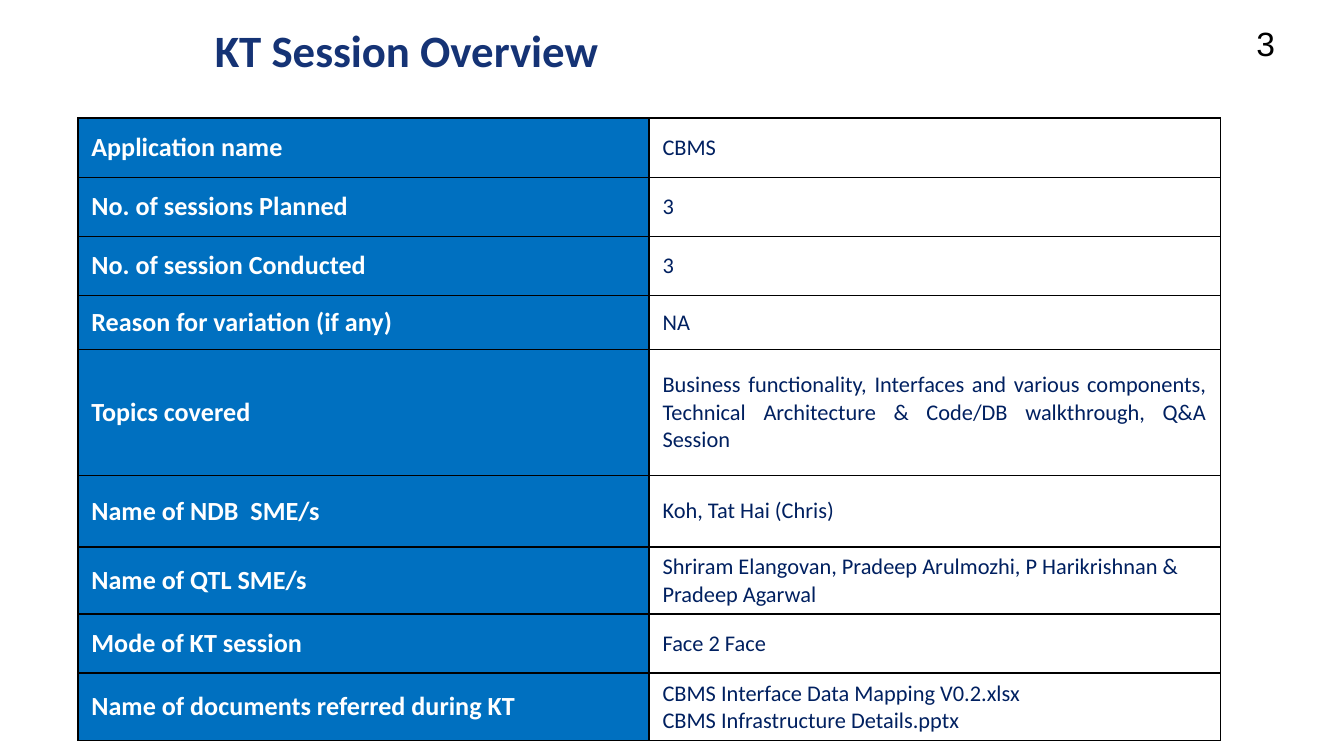
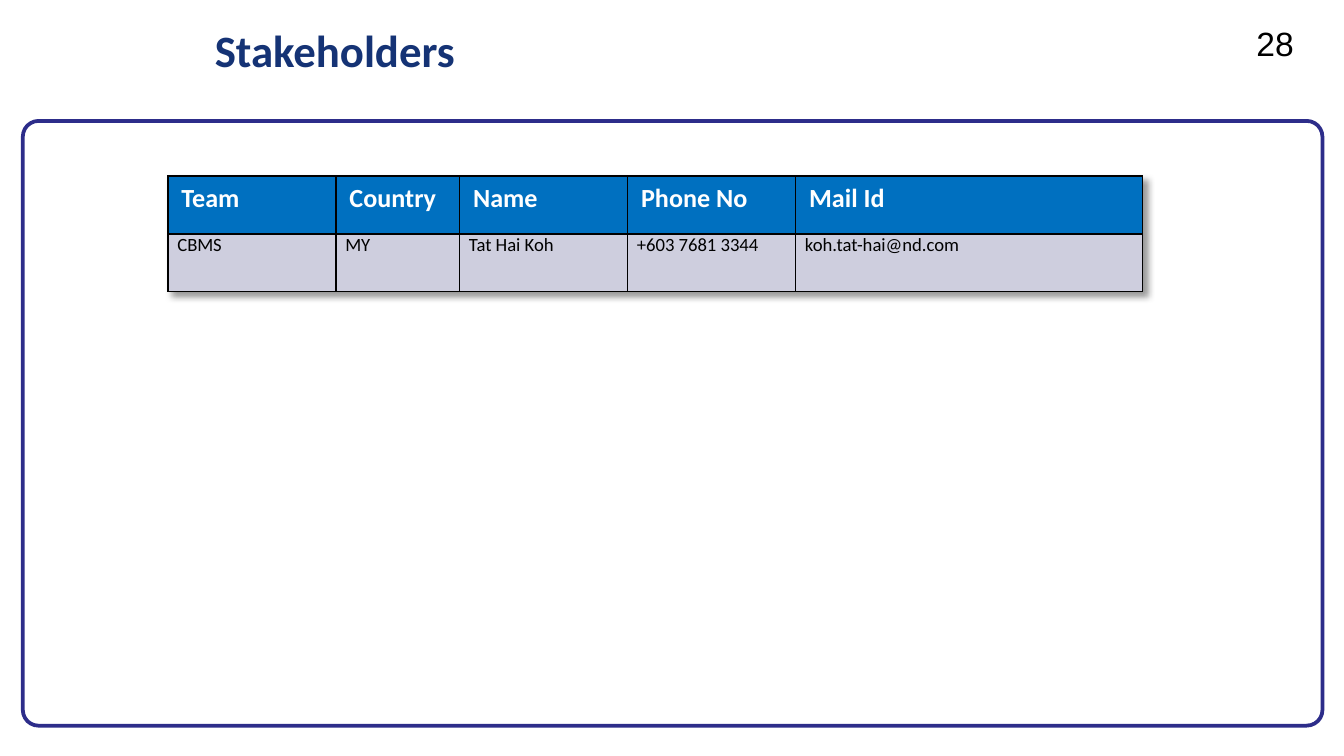
from lxml.etree import SubElement
from pptx import Presentation
from pptx.dml.color import RGBColor
from pptx.enum.shapes import MSO_SHAPE
from pptx.enum.text import MSO_ANCHOR, PP_ALIGN
from pptx.oxml import parse_xml
from pptx.oxml.ns import nsdecls, qn
from pptx.util import Inches, Pt

# Shared look
TITLE_BLUE = "153375"
HEADER_BLUE = "0070C0"
TEXT_NAVY = "002060"
FRAME_BLUE = "2D2D8A"
ROW_GREY = "CECEDE"
WHITE = "FFFFFF"
BLACK = "000000"
FONT = "Calibri"

# Slide content
SESSION_ROWS = [
    ("Application name", "CBMS", 0.44),
    ("No. of sessions Planned", "3", 0.44),
    ("No. of session Conducted", "3", 0.44),
    ("Reason for variation (if any)", "NA", 0.4),
    ("Topics covered",
     "Business functionality, Interfaces and various components, "
     "Technical Architecture & Code/DB walkthrough, Q&A Session", 0.94),
    ("Name of NDB  SME/s", "Koh, Tat Hai (Chris)", 0.53),
    ("Name of QTL SME/s",
     "Shriram Elangovan, Pradeep Arulmozhi, P Harikrishnan & Pradeep Agarwal", 0.44),
    ("Mode of KT session", "Face 2 Face", 0.44),
    ("Name of documents referred during KT",
     "CBMS Interface Data Mapping V0.2.xlsx\nCBMS Infrastructure Details.pptx", 0.44),
]
STAKEHOLDER_COLUMNS = [
    ("Team", "CBMS", 1.25),
    ("Country", "MY", 0.92),
    ("Name", "Tat Hai Koh", 1.25),
    ("Phone No", "+603 7681 3344", 1.25),
    ("Mail Id", "koh.tat-hai@nd.com", 2.58),
]


def color(value):
    return RGBColor.from_string(value)


def write(frame, text, size, ink, bold=False, font=FONT):
    frame.word_wrap = True
    frame.text = text
    for paragraph in frame.paragraphs:
        paragraph.font.name = font
        paragraph.font.size = Pt(size)
        paragraph.font.bold = bold
        paragraph.font.color.rgb = color(ink)


def add_text(page, left, top, width, height, text, *style, **options):
    box = page.shapes.add_textbox(Inches(left), Inches(top), Inches(width), Inches(height))
    write(box.text_frame, text, *style, **options)


def add_page(deck, title, number, title_width):
    """Add a blank page with its title and page number."""
    page = deck.slides.add_slide(deck.slide_layouts[6])
    add_text(page, 9.25, 0.12, 0.58, 0.4, number, 18, BLACK, font="Arial")
    add_text(page, 1.5, 0.12, title_width, 0.44, title, 24, TITLE_BLUE, bold=True)
    return page


def add_frame(page):
    frame = page.shapes.add_shape(MSO_SHAPE.ROUNDED_RECTANGLE, Inches(0.17), Inches(0.9),
                                  Inches(9.67), Inches(4.5))
    frame.adjustments[0] = 0.026
    frame.shadow.inherit = False
    frame.fill.solid()
    frame.fill.fore_color.rgb = color(WHITE)
    frame.line.color.rgb = color(FRAME_BLUE)
    frame.line.width = Pt(2)


def add_grid(page, left, top, widths, heights):
    """Add an unstyled table with the given column widths and row heights."""
    table = page.shapes.add_table(len(heights), len(widths), Inches(left), Inches(top),
                                  Inches(sum(widths)), Inches(sum(heights))).table
    table.first_row = table.horz_banding = False
    for column, width in zip(table.columns, widths):
        column.width = Inches(width)
    for row, height in zip(table.rows, heights):
        row.height = Inches(height)
    return table


def fill_cell(cell, text, size, ink, fill=None, bold=False):
    write(cell.text_frame, text, size, ink, bold)
    # Cell borders come before the fill in the cell properties
    properties = cell._tc.get_or_add_tcPr()
    for side in ("lnL", "lnR", "lnT", "lnB"):
        line = SubElement(properties, qn(f"a:{side}"), w=str(Pt(1)))
        SubElement(SubElement(line, qn("a:solidFill")), qn("a:srgbClr"), val=BLACK)
    if fill:
        cell.fill.solid()
        cell.fill.fore_color.rgb = color(fill)
    else:
        cell.fill.background()


def fill_header(cell, text):
    fill_cell(cell, text, 14, WHITE, HEADER_BLUE, bold=True)


def add_table_shadow(table):
    table._tbl.tblPr.insert(0, parse_xml(
        f'<a:effectLst {nsdecls("a")}>'
        f'<a:outerShdw blurRad="{Inches(0.05)}" dist="{Inches(0.04)}" dir="2700000" algn="tl">'
        f'<a:srgbClr val="{BLACK}"><a:alpha val="40000"/></a:srgbClr>'
        '</a:outerShdw></a:effectLst>'))


def build_overview(deck):
    page = add_page(deck, "KT Session Overview", "3", 3.33)
    heights = [height for _, _, height in SESSION_ROWS]
    table = add_grid(page, 0.58, 0.88, [4.25, 4.25], heights)
    for index, (label, detail, _) in enumerate(SESSION_ROWS):
        label_cell, detail_cell = table.rows[index].cells
        fill_header(label_cell, label)
        fill_cell(detail_cell, detail, 12, TEXT_NAVY)
        label_cell.vertical_anchor = detail_cell.vertical_anchor = MSO_ANCHOR.MIDDLE
        if label == "Topics covered":
            detail_cell.text_frame.paragraphs[0].alignment = PP_ALIGN.JUSTIFY


def build_stakeholders(deck):
    page = add_page(deck, "Stakeholders", "28", 4.33)
    add_frame(page)
    widths = [width for _, _, width in STAKEHOLDER_COLUMNS]
    table = add_grid(page, 1.25, 1.31, widths, [0.43, 0.43])
    add_table_shadow(table)
    for index, (heading, entry, _) in enumerate(STAKEHOLDER_COLUMNS):
        fill_header(table.cell(0, index), heading)
        cell = table.cell(1, index)
        fill_cell(cell, entry, 10, BLACK, ROW_GREY)
        cell.margin_left = cell.margin_right = Inches(0.07)
        cell.margin_top = cell.margin_bottom = 0


def main():
    deck = Presentation()
    # Widescreen page, 16 to 9
    deck.slide_width = Inches(10)
    deck.slide_height = Inches(10) * 9 // 16
    build_overview(deck)
    build_stakeholders(deck)
    deck.save("out.pptx")


if __name__ == "__main__":
    main()
